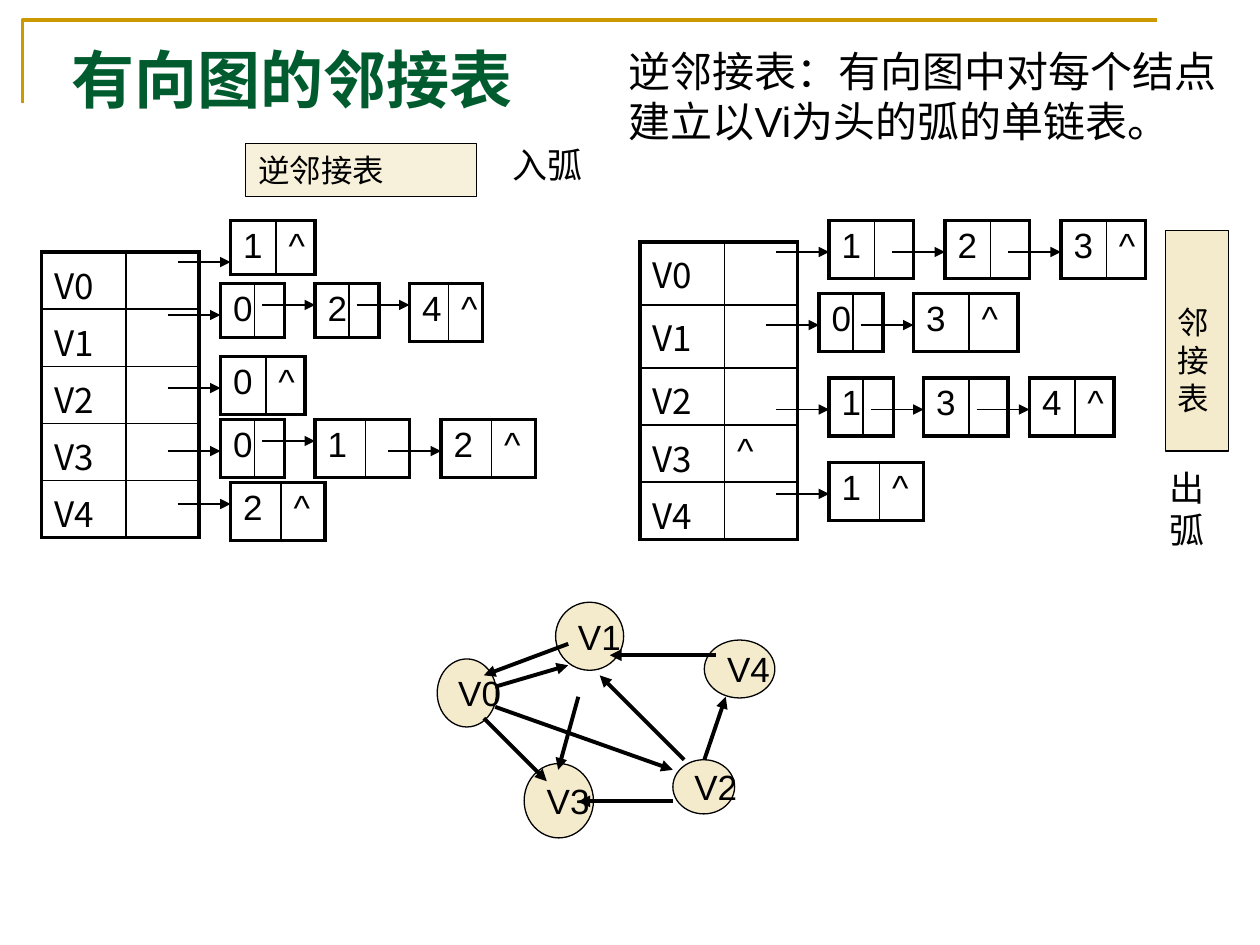
"""Build a slide on adjacency and inverse adjacency lists of a directed graph."""
from lxml.etree import SubElement
from pptx import Presentation
from pptx.dml.color import RGBColor
from pptx.enum.shapes import MSO_CONNECTOR, MSO_SHAPE
from pptx.enum.text import MSO_ANCHOR, MSO_AUTO_SIZE, PP_ALIGN
from pptx.oxml.ns import qn
from pptx.util import Inches, Pt

BLACK = RGBColor(0, 0, 0)
GOLD = RGBColor(0xCC, 0x99, 0x00)
GREEN = RGBColor(0x00, 0x5C, 0x2E)
VERTEX_FONT = "Noto Sans CJK SC"

TITLE = "有向图的邻接表"
DEFINITION = "逆邻接表：有向图中对每个结点建立以Vi为头的弧的单链表。"
FRAME = [(0.18, 0.82), (0.18, 0.16), (9.18, 0.16)]

VERTICES = [
    ("V0", 3.47, 5.23, 0.47, 0.54),
    ("V1", 4.41, 4.78, 0.54, 0.54),
    ("V4", 5.59, 5.08, 0.56, 0.46),
    ("V3", 4.16, 6.06, 0.55, 0.59),
    ("V2", 5.34, 6.03, 0.49, 0.43),
]
ARCS = [
    (3.93, 5.45, 4.51, 5.28), (3.93, 5.61, 5.34, 6.11),
    (3.84, 5.7, 4.34, 6.2), (4.51, 5.11, 3.84, 5.36),
    (4.59, 5.53, 4.43, 6.11), (5.59, 6.03, 5.76, 5.53),
    (5.34, 6.36, 4.59, 6.36), (5.43, 6.03, 4.76, 5.36),
    (5.68, 5.2, 4.84, 5.2),
]
ARC_STUB = (5.59, 6.03, 5.59, 6.03)

HEAD_WIDTHS = [0.67, 0.58]
HEAD_TABLES = [
    (0.33, 2, [0.43, 0.43, 0.43, 0.45, 0.43], ["", "", "", "", ""]),
    (5.08, 1.92, [0.5, 0.5, 0.43, 0.43, 0.43], ["", "", "", "^", ""]),
]

# Each chain: top, then nodes as (value, left, width, height, arrow height).
CHAINS = [
    (1.75, [("1", 1.83, 0.67, 0.43, 2.08)]),
    (2.25, [("0", 1.75, 0.5, 0.43, 2.5), ("2", 2.5, 0.5, 0.43, 2.42),
            ("4", 3.25, 0.58, 0.46, 2.42)]),
    (2.83, [("0", 1.75, 0.67, 0.46, 3.08)]),
    (3.33, [("0", 1.75, 0.5, 0.46, 3.58), ("1", 2.5, 0.75, 0.46, 3.5),
            ("2", 3.5, 0.75, 0.46, 3.58)]),
    (3.83, [("2", 1.83, 0.75, 0.46, 4)]),
    (1.75, [("1", 6.58, 0.67, 0.46, 2), ("2", 7.5, 0.67, 0.46, 2),
            ("3", 8.42, 0.67, 0.46, 2)]),
    (2.33, [("0", 6.5, 0.5, 0.46, 2.58), ("3", 7.25, 0.83, 0.46, 2.58)]),
    (3, [("1", 6.58, 0.5, 0.46, 3.25), ("3", 7.33, 0.67, 0.46, 3.25),
         ("4", 8.17, 0.67, 0.46, 3.25)]),
    (3.67, [("1", 6.58, 0.75, 0.46, 3.92)]),
]
VALUE_SHARE = 0.53
POINTER_LENGTH = 0.42


def write(frame, lines, size, font="Arial", color=BLACK, bold=False):
    for index, line in enumerate(lines):
        paragraph = frame.add_paragraph() if index else frame.paragraphs[0]
        paragraph.alignment = PP_ALIGN.LEFT
        run = paragraph.add_run()
        run.text = line
        run.font.size, run.font.name = Pt(size), font
        run.font.bold, run.font.color.rgb = bold, color


def add_label(slide, box, lines, size, wrap):
    frame = slide.shapes.add_textbox(*map(Inches, box)).text_frame
    frame.word_wrap = wrap
    frame.auto_size = MSO_AUTO_SIZE.SHAPE_TO_FIT_TEXT
    write(frame, lines, size)


def add_tinted(slide, preset, box, lines, size, opacity, top_margin=0.05):
    shape = slide.shapes.add_shape(preset, *map(Inches, box))
    shape.shadow.inherit = False
    shape.fill.solid()
    shape.fill.fore_color.rgb = GOLD
    tint = shape._element.spPr.find(qn("a:solidFill"))[0]
    SubElement(tint, qn("a:alpha"), val=str(opacity * 1000))
    shape.line.color.rgb, shape.line.width = BLACK, Pt(0.75)
    frame = shape.text_frame
    frame.word_wrap, frame.vertical_anchor = False, MSO_ANCHOR.MIDDLE
    frame.margin_top = Inches(top_margin)
    write(frame, lines, size)


def add_arrow(slide, ends, width):
    arrow = slide.shapes.add_connector(MSO_CONNECTOR.STRAIGHT, *map(Inches, ends))
    arrow.line.color.rgb, arrow.line.width = BLACK, Pt(width)
    SubElement(arrow.line._get_or_add_ln(), qn("a:tailEnd"), type="triangle")
    SubElement(arrow._element.spPr, qn("a:effectLst"))


def add_border(cell, side, width):
    line = SubElement(cell._tc.get_or_add_tcPr(), qn("a:" + side), w=str(Pt(width)))
    SubElement(SubElement(line, qn("a:solidFill")), qn("a:srgbClr"), val=str(BLACK))


def add_grid(slide, left, top, widths, heights, rows, first_font="Arial"):
    box = map(Inches, (left, top, sum(widths), sum(heights)))
    grid = slide.shapes.add_table(len(rows), len(widths), *box).table
    grid.first_row = grid.horz_banding = False
    for column, width in zip(grid.columns, widths):
        column.width = Inches(width)
    for r, (height, values) in enumerate(zip(heights, rows)):
        grid.rows[r].height = Inches(height)
        for c, value in enumerate(values):
            cell = grid.cell(r, c)
            outer = {"lnL": c == 0, "lnR": c == len(widths) - 1,
                     "lnT": r == 0, "lnB": r == len(rows) - 1}
            for side, is_outer in outer.items():
                add_border(cell, side, 2.25 if is_outer else 1)
            cell.fill.background()
            cell.margin_bottom = 0
            if value:
                write(cell.text_frame, [value], 20, "Arial" if c else first_font)


def add_chain(slide, top, nodes):
    for index, (value, left, width, height, pointer_y) in enumerate(nodes):
        add_arrow(slide, (left - POINTER_LENGTH, pointer_y, left, pointer_y), 0.75)
        value_width = round(width * VALUE_SHARE, 2)
        link = "^" if index == len(nodes) - 1 else ""
        add_grid(slide, left, top, [value_width, width - value_width], [height],
                 [[value, link]])


def main():
    deck = Presentation()
    deck.slide_width, deck.slide_height = Inches(10), Inches(7.5)
    slide = deck.slides.add_slide(deck.slide_layouts[5])

    corner, *rest = [(Inches(x), Inches(y)) for x, y in FRAME]
    builder = slide.shapes.build_freeform(*corner)
    builder.add_line_segments(rest, close=False)
    frame = builder.convert_to_shape()
    frame.shadow.inherit = False
    frame.fill.background()
    frame.line.color.rgb, frame.line.width = GOLD, Pt(2)

    for name, *box in VERTICES:
        add_tinted(slide, MSO_SHAPE.OVAL, box, [name], 20, 20)
    for arc in ARCS:
        add_arrow(slide, arc, 2.25)
    add_arrow(slide, ARC_STUB, 0.75)

    for left, top, heights, links in HEAD_TABLES:
        rows = [[f"V{i}", link] for i, link in enumerate(links)]
        add_grid(slide, left, top, HEAD_WIDTHS, heights, rows, VERTEX_FONT)
    for top, nodes in CHAINS:
        add_chain(slide, top, nodes)

    add_tinted(slide, MSO_SHAPE.RECTANGLE, (1.95, 1.14, 1.83, 0.42),
               ["逆邻接表"], 18, 14)
    add_tinted(slide, MSO_SHAPE.RECTANGLE, (9.25, 1.83, 0.5, 1.75),
               ["邻", "接", "表"], 18, 20, top_margin=0.35)
    add_label(slide, (9.18, 3.65, 0.48, 0.77), ["出", "弧"], 20, False)
    add_label(slide, (3.97, 1.09, 1.23, 0.44), ["入弧"], 20, True)

    title = slide.shapes.title
    title.left, title.top = Inches(0.47), Inches(0.31)
    title.width, title.height = Inches(7.67), Inches(0.62)
    title.text_frame.auto_size = MSO_AUTO_SIZE.NONE
    title.text_frame.vertical_anchor = MSO_ANCHOR.MIDDLE
    write(title.text_frame, [TITLE], 36, "Times New Roman", GREEN, True)
    add_label(slide, (4.89, 0.31, 4.95, 0.91), [DEFINITION], 24, True)

    deck.save("out.pptx")


if __name__ == "__main__":
    main()
